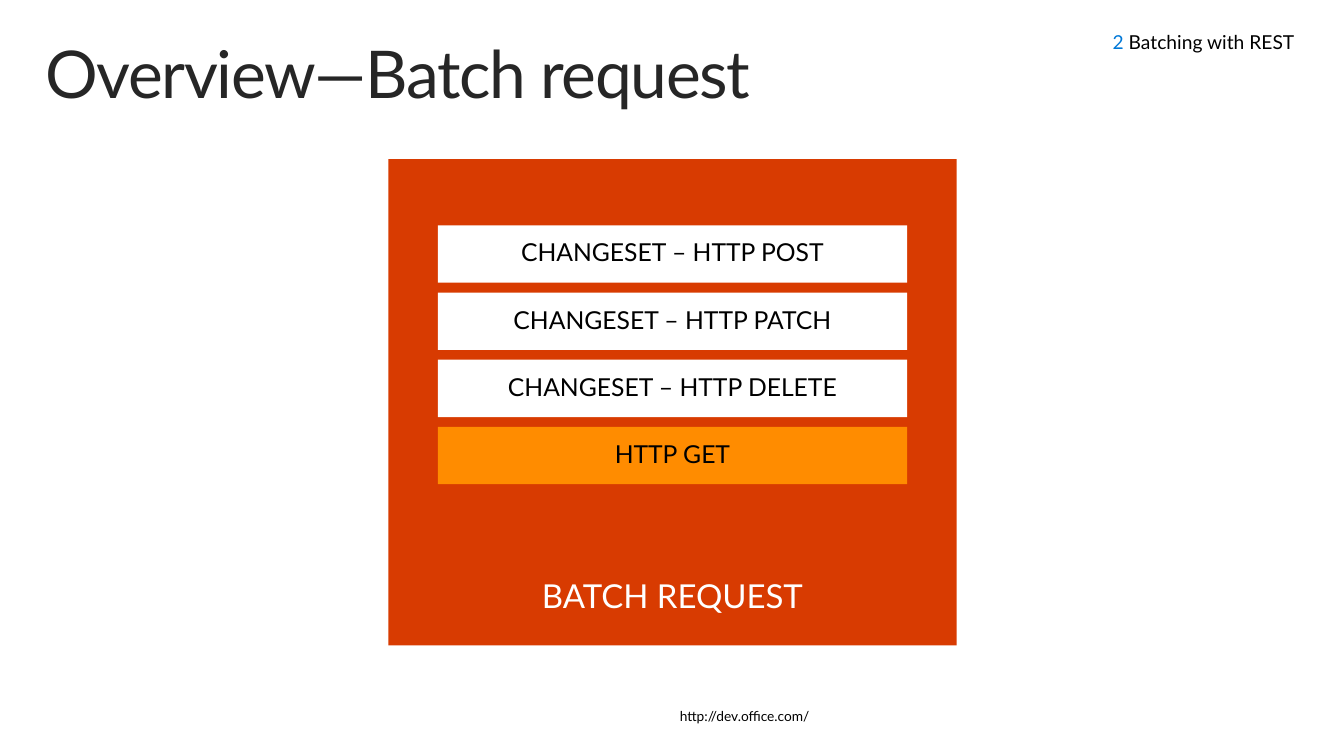
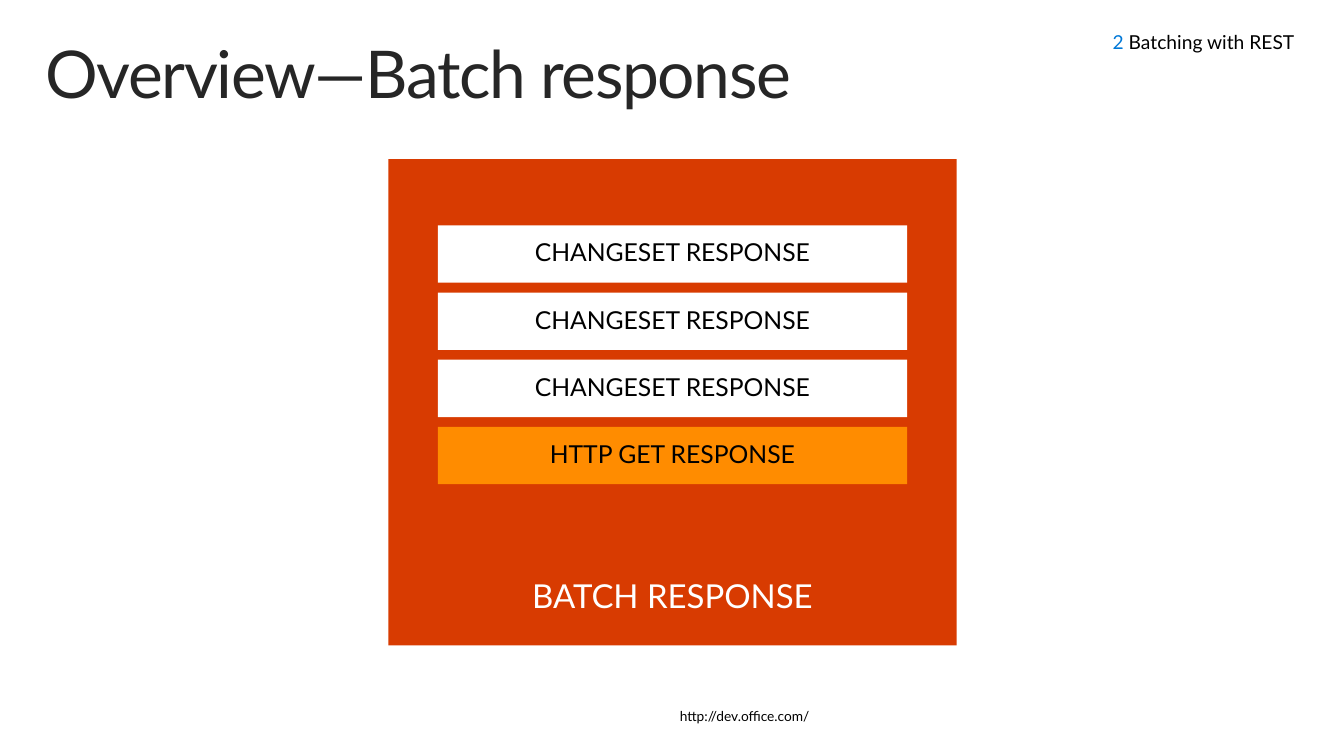
from dataclasses import dataclass
from typing import Any, NamedTuple

from pptx import Presentation
from pptx.dml.color import RGBColor as RGB
from pptx.enum.shapes import MSO_SHAPE as Shape
from pptx.enum.text import MSO_ANCHOR as Anchor, MSO_AUTO_SIZE as Fit, PP_ALIGN as Align
from pptx.util import Inches, Pt


@dataclass(frozen=True)
class Theme:
    font: str = "Lato"
    ink: str = "262626"
    black: str = "000000"
    white: str = "FFFFFF"
    red: str = "D83B01"
    amber: str = "FF8C00"
    blue: str = "0078D7"
    title: int = 48
    label: int = 24
    row: int = 18
    head: int = 14
    foot: int = 10


class Box(NamedTuple):
    left: float
    top: float
    width: float
    height: float


class Run(NamedTuple):
    text: str
    size: int
    color: str


class Batch(NamedTuple):
    title: str
    label: str
    rows: list[str]


THEME = Theme()
TITLE = Box(0.3, 0.32, 13, 1)
HEAD = Box(8.71, 0.22, 4.59, 0.41)
FOOT = Box(6.72, 7.11, 1.66, 0.35)
PANEL = Box(3.93, 1.61, 5.75, 4.92)
ROW = Box(4.43, 2.28, 4.75, 0.58)
PITCH = 0.68
WIDE = (0.16, 0.1, 0.16, 0.1)
SLIM = (0.1, 0.05, 0.1, 0.05)

BATCHES = [
    Batch("Overview—Batch request", "BATCH REQUEST",
          ["CHANGESET – HTTP POST", "CHANGESET – HTTP PATCH",
           "CHANGESET – HTTP DELETE", "HTTP GET"]),
    Batch("Overview—Batch response", "BATCH RESPONSE",
          ["CHANGESET RESPONSE"] * 3 + ["HTTP GET RESPONSE"]),
]


def assign(target: Any, values: dict[str, Any]) -> None:
    for name, value in values.items():
        setattr(target, name, value)


def place(box: Box) -> list[int]:
    return [Inches(part) for part in box]


def write(shape: Any, runs: list[Run], align: Align, anchor: Anchor,
          inset: tuple[float, ...] = SLIM, wrap: bool = False,
          fit: Fit = Fit.NONE, space: float = 0.9) -> None:
    """Fill the shape with one paragraph of formatted runs."""
    frame = shape.text_frame
    sides = ("margin_left", "margin_top", "margin_right", "margin_bottom")
    assign(frame, dict(zip(sides, map(Inches, inset))))
    assign(frame, {"vertical_anchor": anchor, "word_wrap": wrap, "auto_size": fit})
    para = frame.paragraphs[0]
    assign(para, {"alignment": align, "line_spacing": space})
    for part in runs:
        run = para.add_run()
        run.text = part.text
        assign(run.font, {"name": THEME.font, "size": Pt(part.size)})
        run.font.color.rgb = RGB.from_string(part.color)


def add_rect(slide: Any, box: Box, fill: str) -> Any:
    rect = slide.shapes.add_shape(Shape.RECTANGLE, *place(box))
    rect.shadow.inherit = False
    rect.fill.solid()
    rect.fill.fore_color.rgb = RGB.from_string(fill)
    rect.line.fill.background()
    return rect


def add_title(slide: Any, text: str) -> None:
    title = slide.shapes.title
    assign(title, dict(zip(Box._fields, place(TITLE))))
    write(title, [Run(text, THEME.title, THEME.ink)], Align.LEFT, Anchor.TOP,
          WIDE, wrap=True)
    for run in title.text_frame.paragraphs[0].runs:
        run.font._element.set("spc", "-100")


def add_frame(slide: Any) -> None:
    """Add the section mark and web address found on every slide."""
    head = slide.shapes.add_textbox(*place(HEAD))
    write(head, [Run("2 ", THEME.head, THEME.blue),
                 Run("Batching with REST", THEME.head, THEME.black)],
          Align.RIGHT, Anchor.MIDDLE, (0.1, 0.05, 0.2, 0.05), wrap=True, space=1.0)
    foot = slide.shapes.add_textbox(*place(FOOT))
    write(foot, [Run("http://dev.office.com/", THEME.foot, THEME.black)],
          Align.LEFT, Anchor.TOP, WIDE, fit=Fit.SHAPE_TO_FIT_TEXT)


def add_batch(slide: Any, batch: Batch) -> None:
    panel = add_rect(slide, PANEL, THEME.red)
    write(panel, [Run(batch.label, THEME.label, THEME.white)],
          Align.CENTER, Anchor.BOTTOM, (0.1, 0.05, 0.1, 0.3))
    last = len(batch.rows) - 1
    for i, text in enumerate(batch.rows):
        fill = THEME.amber if i == last else THEME.white
        row = add_rect(slide, ROW._replace(top=ROW.top + i * PITCH), fill)
        write(row, [Run(text, THEME.row, THEME.black)], Align.CENTER, Anchor.MIDDLE)


def main() -> None:
    deck = Presentation()
    assign(deck, {"slide_width": Inches(13.6), "slide_height": Inches(7.65)})
    layout = deck.slide_layouts.get_by_name("Title Only")
    for batch in BATCHES:
        slide = deck.slides.add_slide(layout)
        add_title(slide, batch.title)
        add_batch(slide, batch)
        add_frame(slide)
    deck.save("out.pptx")


if __name__ == "__main__":
    main()
